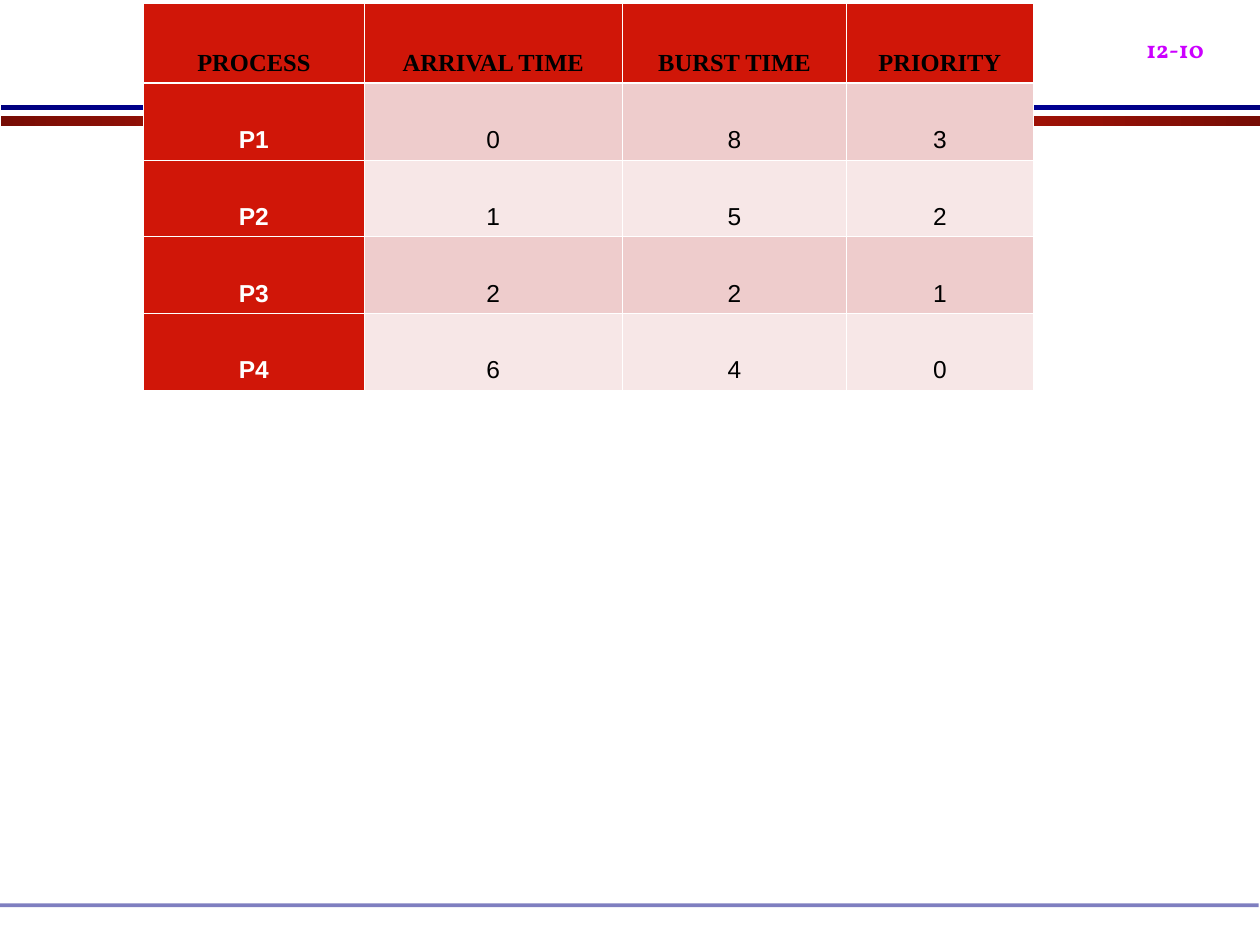
from lxml.etree import SubElement
from pptx import Presentation
from pptx.dml.color import RGBColor
from pptx.enum.shapes import MSO_SHAPE
from pptx.enum.text import MSO_ANCHOR, PP_ALIGN
from pptx.oxml import parse_xml
from pptx.oxml.ns import nsdecls, qn
from pptx.util import Inches, Pt

# Content
HEADERS = ["PROCESS", "ARRIVAL TIME", "BURST TIME", "PRIORITY"]
PROCESSES = [
    ("P1", 0, 8, 3),
    ("P2", 1, 5, 2),
    ("P3", 2, 2, 1),
    ("P4", 6, 4, 0),
]
PAGE_LABEL = "12-10"

# Colours
RED = RGBColor(0xD0, 0x16, 0x08)
BANDS = [RGBColor(0xEE, 0xCC, 0xCC), RGBColor(0xF7, 0xE7, 0xE7)]
WHITE = RGBColor(0xFF, 0xFF, 0xFF)
BLACK = RGBColor(0, 0, 0)
MAGENTA = RGBColor(0xCC, 0x00, 0xFF)
DARK_RED = RGBColor(0x77, 0x0D, 0x05)
BRIGHT_RED = RGBColor(0xE7, 0x19, 0x09)
NAVY = RGBColor(0x00, 0x00, 0x7F)
BLUE = RGBColor(0x00, 0x00, 0xB6)
FOOT_BLUE = RGBColor(0x00, 0x00, 0x82)

# Layout in inches
TABLE_LEFT, TABLE_TOP = 1.14, 0.03
COL_WIDTHS = [1.75, 2.05, 1.78, 1.48]
HEAD_HEIGHT, ROW_HEIGHT = 0.63, 0.61
THIN, THICK = 0.45, 1.47


def add_bar(slide, left, top, height):
    sp = slide.shapes.add_shape(MSO_SHAPE.RECTANGLE, Inches(left), Inches(top),
                                Inches(9.99), Inches(height))
    sp.shadow.inherit = False
    sp.line.fill.background()
    return sp


def set_gradient(sp, edge, middle):
    sp.fill.background()
    stops = "".join(f'<a:gs pos="{pos}"><a:srgbClr val="{color}"/></a:gs>'
                    for pos, color in ((0, edge), (50000, middle), (100000, edge)))
    grad = parse_xml(f'<a:gradFill {nsdecls("a")} rotWithShape="1"><a:gsLst>{stops}'
                     '</a:gsLst><a:lin ang="0" scaled="1"/></a:gradFill>')
    props = sp._element.spPr
    props.replace(props.find(qn("a:noFill")), grad)


def set_borders(cell, top, bottom):
    props = cell._tc.get_or_add_tcPr()
    for side, width in (("L", THIN), ("R", THIN), ("T", top), ("B", bottom)):
        ln = SubElement(props, qn(f"a:ln{side}"), w=str(Pt(width)))
        SubElement(SubElement(ln, qn("a:solidFill")), qn("a:srgbClr"), val=str(WHITE))


def fill_cell(cell, text, row, col):
    is_head, is_label = row == 0, col == 0
    set_borders(cell, THICK if row == 1 else THIN, THICK if is_head else THIN)
    cell.fill.solid()
    cell.fill.fore_color.rgb = RED if is_head or is_label else BANDS[(row - 1) % 2]
    cell.vertical_anchor = MSO_ANCHOR.BOTTOM
    cell.margin_left = cell.margin_right = Inches(0.08 if is_head else 0.15)
    cell.margin_top = cell.margin_bottom = Inches(0.05)
    p = cell.text_frame.paragraphs[0]
    p.alignment = PP_ALIGN.CENTER
    p.line_spacing = 2.0
    r = p.add_run()
    r.text = str(text)
    r.font.size = Pt(14)
    r.font.name = "Times New Roman" if is_head else "Arial"
    r.font.bold = is_head or is_label
    r.font.color.rgb = WHITE if is_label and not is_head else BLACK


def main():
    prs = Presentation()
    prs.slide_width, prs.slide_height = Inches(10), Inches(7.5)
    s = prs.slides.add_slide(prs.slide_layouts[6])

    # Header and footer bars
    set_gradient(add_bar(s, 0.01, 0.92, 0.08), DARK_RED, BRIGHT_RED)
    set_gradient(add_bar(s, 0.01, 0.83, 0.04), NAVY, BLUE)
    foot = add_bar(s, 0, 7.17, 0.03)
    foot.fill.solid()
    foot.fill.fore_color.rgb = FOOT_BLUE
    color = foot._element.spPr.find(qn("a:solidFill")).find(qn("a:srgbClr"))
    SubElement(color, qn("a:alpha"), val="50000")

    # Page label
    box = s.shapes.add_textbox(Inches(9), 0, Inches(1.08), Inches(0.56))
    tf = box.text_frame
    tf.word_wrap = True
    r = tf.paragraphs[0].add_run()
    r.text = PAGE_LABEL
    r.font.size, r.font.name, r.font.bold = Pt(24), "Vollkorn", True
    r.font.color.rgb = MAGENTA
    r.font._element.set("baseline", "-25000")

    # Process table
    rows = [HEADERS, *PROCESSES]
    heights = [HEAD_HEIGHT] + [ROW_HEIGHT] * len(PROCESSES)
    table = s.shapes.add_table(len(rows), len(HEADERS), Inches(TABLE_LEFT),
                               Inches(TABLE_TOP), Inches(sum(COL_WIDTHS)),
                               Inches(sum(heights))).table
    for column, width in zip(table.columns, COL_WIDTHS):
        column.width = Inches(width)
    for i, (values, height) in enumerate(zip(rows, heights)):
        table.rows[i].height = Inches(height)
        for j, value in enumerate(values):
            fill_cell(table.cell(i, j), value, i, j)

    prs.save("out.pptx")


if __name__ == "__main__":
    main()
